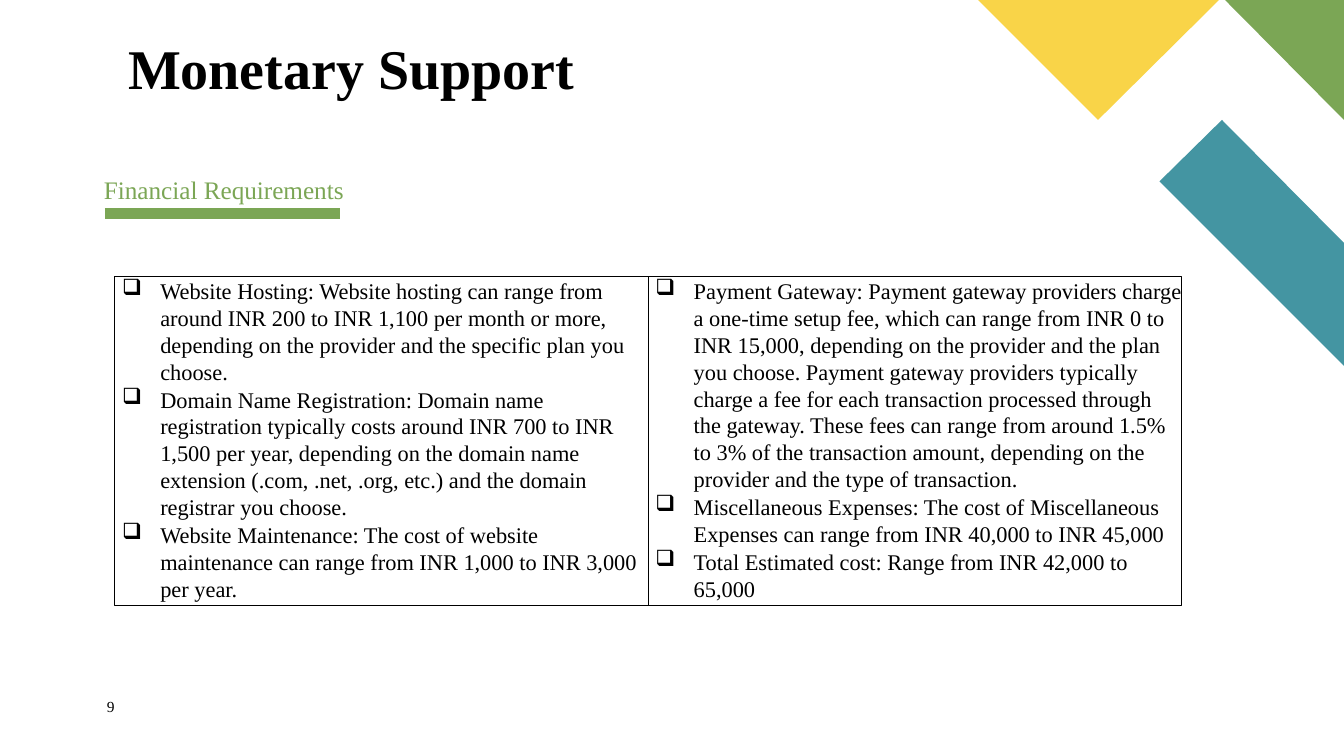
from dataclasses import dataclass
from typing import Any

from lxml.etree import SubElement
from pptx import Presentation
from pptx.dml.color import RGBColor as RGB
from pptx.enum.shapes import MSO_CONNECTOR as CONN, MSO_SHAPE as SHAPE
from pptx.enum.text import MSO_ANCHOR as ANCHOR, PP_ALIGN as ALIGN
from pptx.oxml.ns import qn
from pptx.util import Inches, Pt


@dataclass(frozen=True)
class Theme:
    font: str = "Times New Roman"
    black: RGB = RGB(0x00, 0x00, 0x00)
    green: RGB = RGB(0x7B, 0xA6, 0x55)
    teal: RGB = RGB(0x44, 0x95, 0xA2)
    yellow: RGB = RGB(0xF9, 0xD4, 0x48)
    title: int = 40
    heading: int = 18
    body: int = 16
    number: int = 11


@dataclass(frozen=True)
class Box:
    left: float
    top: float
    width: float
    height: float


@dataclass(frozen=True)
class Label:
    text: str
    box: Box
    size: int
    color: RGB
    bold: bool = False
    inset_top: float = 0.01
    indent: float = 0.01
    spacing: dict[str, Any] | None = None


@dataclass(frozen=True)
class Corner:
    points: tuple[tuple[float, float], ...]
    color: RGB


THEME = Theme()
SLIDE_W, SLIDE_H = 13.33, 7.5
COST_LEFT, COST_TOP, COST_W, COST_H = 1.14, 2.74, 5.29, 3.27

CORNERS = (
    Corner(((SLIDE_W, 3.63), (11.5, 1.8), (12.12, 1.19), (SLIDE_W, 2.41)), THEME.teal),
    Corner(((SLIDE_W, 1.19), (12.15, 0), (SLIDE_W, 0)), THEME.green),
    Corner(((10.89, 1.19), (9.7, 0), (12.09, 0)), THEME.yellow),
)

LABELS = (
    Label("Monetary Support", Box(1.26, 0.32, 4.45, 0.69), THEME.title, THEME.black,
          bold=True, spacing={"space_before": Pt(1)}),
    Label("Financial Requirements", Box(1.02, 1.72, 3.65, 0.32), THEME.heading,
          THEME.green, spacing={"space_before": Pt(1)}),
    Label("9", Box(1.02, 6.92, 0.24, 0.2), THEME.number, THEME.black,
          inset_top=0, indent=0.04, spacing={"line_spacing": Pt(13)}),
)

COST_COLUMNS = (
    (
        "Website Hosting: Website hosting can range from around INR 200 to INR 1,100 "
        "per month or more, depending on the provider and the specific plan you choose.",
        "Domain Name Registration: Domain name registration typically costs around "
        "INR 700 to INR 1,500 per year, depending on the domain name extension "
        "(.com, .net, .org, etc.) and the domain registrar you choose.",
        "Website Maintenance: The cost of website maintenance can range from "
        "INR 1,000 to INR 3,000 per year.",
    ),
    (
        "Payment Gateway: Payment gateway providers charge a one-time setup fee, which "
        "can range from INR 0 to INR 15,000, depending on the provider and the plan you "
        "choose. Payment gateway providers typically charge a fee for each transaction "
        "processed through the gateway. These fees can range from around 1.5% to 3% of "
        "the transaction amount, depending on the provider and the type of transaction.",
        "Miscellaneous Expenses: The cost of Miscellaneous Expenses can range from "
        "INR 40,000 to INR 45,000",
        "Total Estimated cost: Range from INR 42,000 to 65,000",
    ),
)


def apply(target: Any, values: dict[str, Any]) -> None:
    for name, value in values.items():
        setattr(target, name, value)


def place(box: Box) -> tuple[int, ...]:
    return tuple(Inches(v) for v in (box.left, box.top, box.width, box.height))


def set_frame(tf: Any, inset_top: float) -> None:
    apply(tf, {"word_wrap": True, "vertical_anchor": ANCHOR.TOP, "margin_left": 0,
               "margin_right": 0, "margin_top": Inches(inset_top), "margin_bottom": 0})


def add_run(p: Any, text: str, size: int, color: RGB, bold: bool = False) -> None:
    r = p.add_run()
    r.text = text
    apply(r.font, {"name": THEME.font, "size": Pt(size), "bold": bold})
    r.font.color.rgb = color


def set_indent(p: Any, left: float, hanging: float = 0) -> Any:
    pPr = p._p.get_or_add_pPr()
    pPr.set("marL", str(Inches(left)))
    pPr.set("indent", str(-Inches(hanging)))
    return pPr


def add_corner(slide: Any, corner: Corner) -> None:
    start, *rest = [(Inches(x), Inches(y)) for x, y in corner.points]
    builder = slide.shapes.build_freeform(*start)
    builder.add_line_segments(rest, close=True)
    sp = builder.convert_to_shape()
    sp.shadow.inherit = False
    sp.fill.solid()
    sp.fill.fore_color.rgb = corner.color
    sp.line.fill.background()


def add_heading_rule(slide: Any) -> None:
    rule = slide.shapes.add_connector(CONN.STRAIGHT, Inches(1.04), Inches(2.12),
                                      Inches(3.37), Inches(2.12))
    rule.line.color.rgb = THEME.green
    rule.line.width = Pt(8)
    SubElement(rule._element.spPr, qn("a:effectLst"))


def add_label(slide: Any, label: Label) -> None:
    tf = slide.shapes.add_textbox(*place(label.box)).text_frame
    set_frame(tf, label.inset_top)
    p = tf.paragraphs[0]
    apply(p, label.spacing or {})
    set_indent(p, label.indent)
    add_run(p, label.text, label.size, label.color, label.bold)


def add_cost_box(slide: Any, box: Box, items: tuple[str, ...]) -> None:
    sp = slide.shapes.add_shape(SHAPE.RECTANGLE, *place(box))
    sp.shadow.inherit = False
    sp.fill.background()
    sp.line.color.rgb = THEME.black
    sp.line.width = Pt(0.75)
    tf = sp.text_frame
    set_frame(tf, 0.01)
    for i, item in enumerate(items):
        p = tf.add_paragraph() if i else tf.paragraphs[0]
        apply(p, {"alignment": ALIGN.LEFT, "space_before": Pt(0.8)})
        pPr = set_indent(p, 0.45, hanging=0.38)
        SubElement(pPr, qn("a:buChar")).set("char", "❑")
        add_run(p, item, THEME.body, THEME.black)


def main() -> None:
    prs = Presentation()
    apply(prs, {"slide_width": Inches(SLIDE_W), "slide_height": Inches(SLIDE_H)})
    slide = prs.slides.add_slide(prs.slide_layouts[6])
    add_heading_rule(slide)
    for corner in CORNERS:
        add_corner(slide, corner)
    for label in LABELS:
        add_label(slide, label)
    for i, items in enumerate(COST_COLUMNS):
        add_cost_box(slide, Box(COST_LEFT + i * COST_W, COST_TOP, COST_W, COST_H), items)
    prs.save("out.pptx")


if __name__ == "__main__":
    main()
